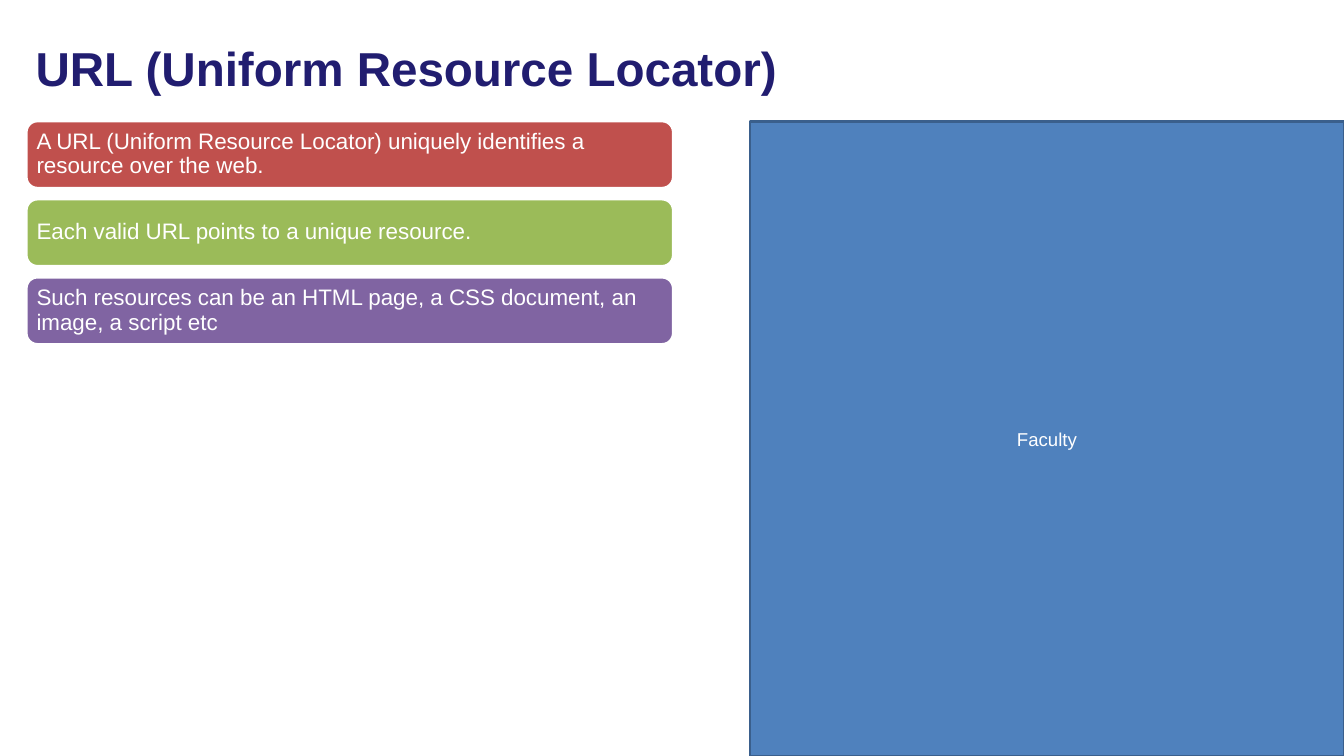
import pptx
import pptx.dml.color
import pptx.enum.shapes
import pptx.enum.text
import pptx.util

RGBColor = pptx.dml.color.RGBColor
Align = pptx.enum.text.PP_ALIGN
Shape = pptx.enum.shapes.MSO_SHAPE

WHITE = RGBColor(0xFF, 0xFF, 0xFF)
NAVY = RGBColor(0x21, 0x1D, 0x70)
BLUE = RGBColor(0x4F, 0x81, 0xBD)
DARK_BLUE = RGBColor(0x3A, 0x5F, 0x8C)
RED = RGBColor(0xC0, 0x50, 0x4D)
GREEN = RGBColor(0x9B, 0xBB, 0x59)
PURPLE = RGBColor(0x80, 0x64, 0xA2)

CARD_TOP = 16
CARD_PITCH = 10.33
CARDS = [
    ("A URL (Uniform Resource Locator) uniquely identifies a resource over the web.", RED),
    ("Each valid URL points to a unique resource.", GREEN),
    ("Such resources can be an HTML page, a CSS document, an image, a script etc", PURPLE),
]


class SlideBuilder:
    """Places elements on a slide divided into 100 columns and 100 rows."""

    font_name = "Arial"

    def __init__(self, deck):
        self.column = deck.slide_width / 100
        self.row = deck.slide_height / 100
        self.page = deck.slides.add_slide(deck.slide_layouts[5])

    def area(self, left, top, width, height):
        """Turn columns and rows into slide lengths."""
        return (round(left * self.column), round(top * self.row),
                round(width * self.column), round(height * self.row))

    def set_text(self, box, text, size, color, align=Align.LEFT, bold=False, spacing=1.0):
        frame = box.text_frame
        frame.text = text
        frame.word_wrap = True
        frame.auto_size = pptx.enum.text.MSO_AUTO_SIZE.NONE
        frame.vertical_anchor = pptx.enum.text.MSO_ANCHOR.MIDDLE
        para = frame.paragraphs[0]
        para.alignment = align
        para.line_spacing = spacing
        for span in para.runs:
            span.font.name = self.font_name
            span.font.size = pptx.util.Pt(size)
            span.font.bold = bold
            span.font.color.rgb = color

    def title(self, text, *cells):
        box = self.page.shapes.title
        box.left, box.top, box.width, box.height = self.area(*cells)
        self.set_text(box, text, 34, NAVY, bold=True, spacing=0.9)

    def block(self, kind, fill, line, *cells):
        box = self.page.shapes.add_shape(kind, *self.area(*cells))
        box.shadow.inherit = False
        box.fill.solid()
        box.fill.fore_color.rgb = fill
        box.line.color.rgb = line
        box.line.width = pptx.util.Pt(2)
        return box

    def panel(self, text, *cells):
        box = self.block(Shape.RECTANGLE, BLUE, DARK_BLUE, *cells)
        self.set_text(box, text, 13.3, WHITE, Align.CENTER)

    def card(self, text, fill, *cells):
        box = self.block(Shape.ROUNDED_RECTANGLE, fill, WHITE, *cells)
        self.set_text(box, text, 16, WHITE, spacing=0.9)
        # A rounded rectangle adds its own small inset to this margin.
        box.text_frame.margin_left = box.text_frame.margin_right = pptx.util.Inches(0.07)


def main():
    deck = pptx.Presentation()
    deck.slide_width = pptx.util.Inches(13.33)
    deck.slide_height = pptx.util.Inches(7.5)

    slide = SlideBuilder(deck)
    slide.panel("Faculty", 55.8, 16.1, 44.2, 83.9)
    slide.title("URL (Uniform Resource Locator)", 1.9, 3.3, 88.6, 12.1)
    for index, (text, fill) in enumerate(CARDS):
        slide.card(text, fill, 1.95, CARD_TOP + index * CARD_PITCH, 48.15, 8.9)

    deck.save("out.pptx")


if __name__ == "__main__":
    main()
